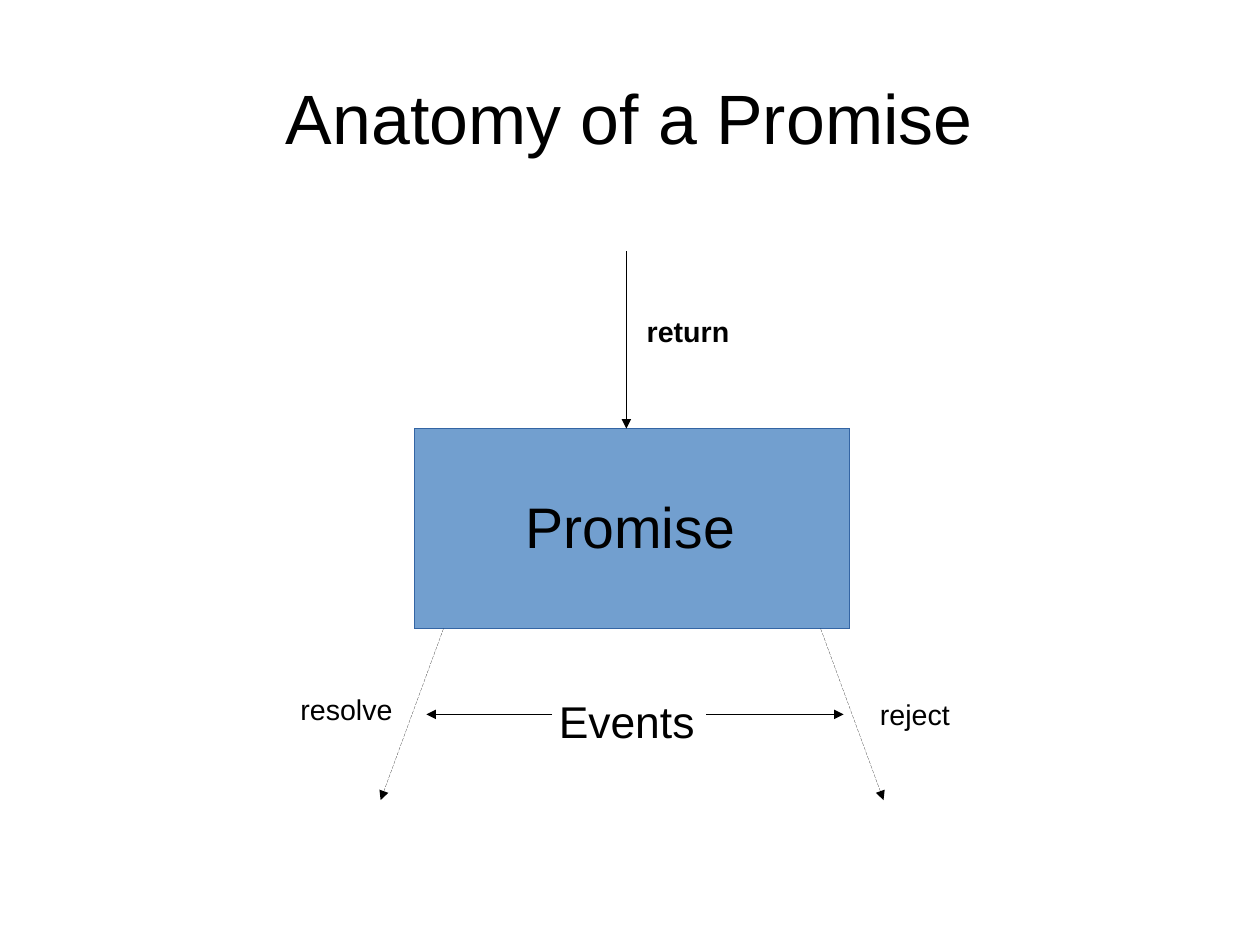
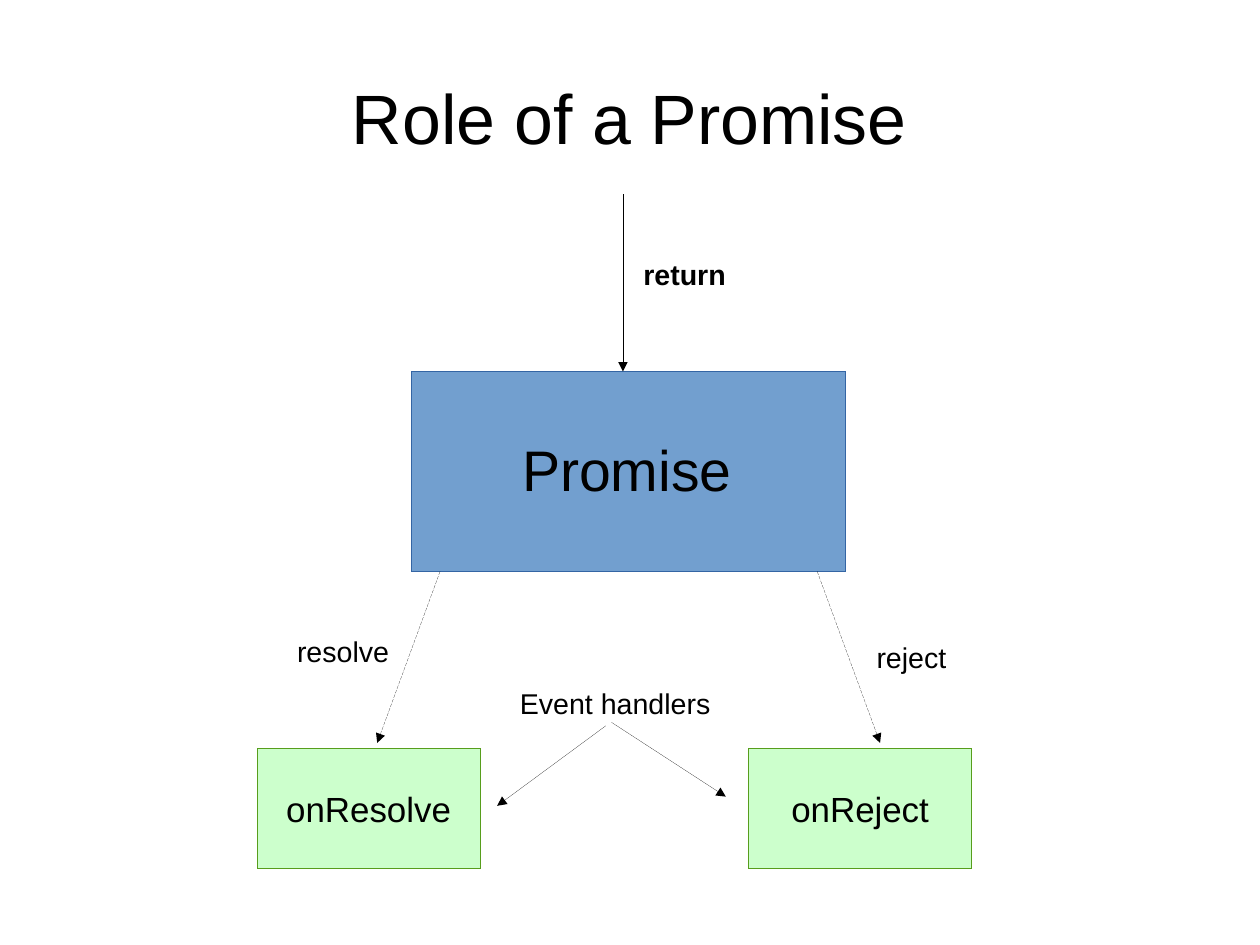
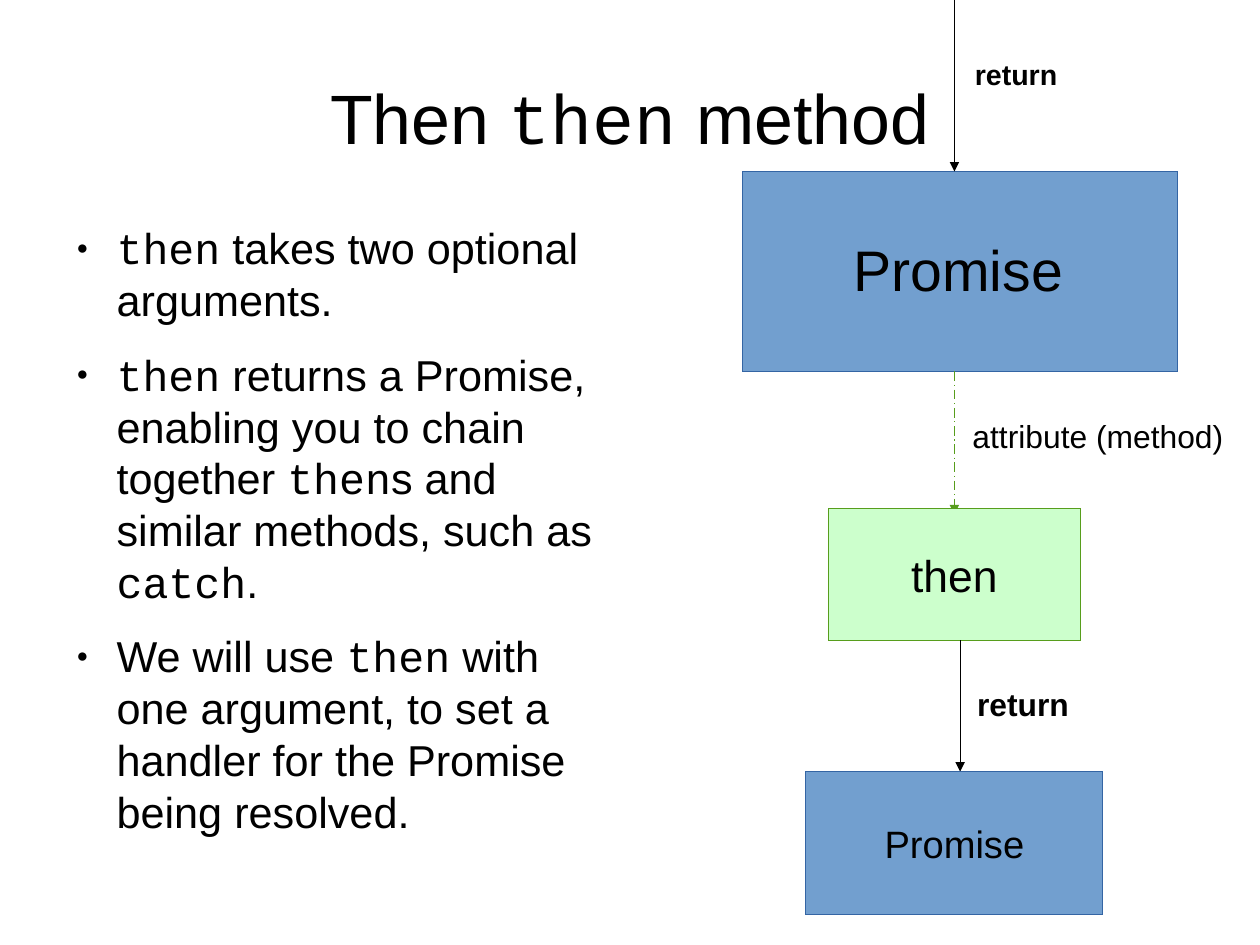
import pptx
import pptx.util
import pptx.dml.color
import pptx.enum.dml
import pptx.enum.shapes
import pptx.enum.text
import pptx.oxml
import pptx.oxml.ns
import lxml.etree

Inches = pptx.util.Inches
Pt = pptx.util.Pt
ALIGN = pptx.enum.text.PP_ALIGN
ANCHOR = pptx.enum.text.MSO_ANCHOR
AUTO_SIZE = pptx.enum.text.MSO_AUTO_SIZE
DASH = pptx.enum.dml.MSO_LINE

SANS, MONO = "Arial", "Courier New"
COLORS = {
    "text": "000000",
    "blue": "729FCF",
    "blue_line": "3465A4",
    "green": "CCFFCC",
    "green_line": "579D1C",
}
TITLE_ONLY, TITLE_AND_BODY = 5, 1
TITLE_BOX = (0.55, 0.33, 9.92, 1.38)


def rgb(name):
    return pptx.dml.color.RGBColor.from_string(COLORS[name])


def add_element(parent, tag, **attributes):
    element = lxml.etree.SubElement(parent, pptx.oxml.ns.qn(tag))
    for key, value in attributes.items():
        element.set(key, str(value))
    return element


def style_paragraph(paragraph, size, bold=False, align=ALIGN.LEFT):
    paragraph.alignment = align
    font = paragraph.font
    font.name, font.size, font.bold = SANS, Pt(size), bold
    font.color.rgb = rgb("text")


def add_runs(paragraph, text):
    """Fill a paragraph; parts between backticks are set in the code font."""
    for index, part in enumerate(text.split("`")):
        if part:
            run = paragraph.add_run()
            run.text = part
            run.font.name = MONO if index % 2 else SANS


def set_hairline(shape, color):
    """Draw the outline at width zero, which must be written out in the XML."""
    shape.line.color.rgb = rgb(color)
    outline = shape._element.spPr.find(pptx.oxml.ns.qn("a:ln"))
    outline.set("w", "0")
    return outline


def prepare_placeholder(placeholder, box, anchor):
    left, top, width, height = [Inches(value) for value in box]
    placeholder.left, placeholder.top = left, top
    placeholder.width, placeholder.height = width, height
    frame = placeholder.text_frame
    frame.margin_left = frame.margin_right = 0
    frame.margin_top = frame.margin_bottom = 0
    frame.vertical_anchor = anchor
    frame.auto_size = AUTO_SIZE.NONE
    return frame


def add_titled_slide(presentation, layout, title):
    slide = presentation.slides.add_slide(presentation.slide_layouts[layout])
    frame = prepare_placeholder(slide.shapes.title, TITLE_BOX, ANCHOR.MIDDLE)
    paragraph = frame.paragraphs[0]
    style_paragraph(paragraph, 44, align=ALIGN.CENTER)
    add_runs(paragraph, title)
    return slide


def add_arrow(slide, start, end, color="text", dash=None):
    points = [Inches(value) for value in (*start, *end)]
    arrow = slide.shapes.add_connector(
        pptx.enum.shapes.MSO_CONNECTOR.STRAIGHT, *points)
    outline = set_hairline(arrow, color)
    if dash:
        arrow.line.dash_style = dash
    add_element(outline, "a:tailEnd", type="triangle")
    add_element(arrow._element.spPr, "a:effectLst")


def add_label(slide, text, box, size=18, bold=False, wrap=False):
    label = slide.shapes.add_textbox(*[Inches(value) for value in box])
    frame = label.text_frame
    frame.word_wrap = wrap
    frame.auto_size = AUTO_SIZE.SHAPE_TO_FIT_TEXT
    frame.text = text
    style_paragraph(frame.paragraphs[0], size, bold)


def add_node(slide, text, box, size, color):
    node = slide.shapes.add_shape(
        pptx.enum.shapes.MSO_SHAPE.RECTANGLE, *[Inches(value) for value in box])
    node.shadow.inherit = False
    node.fill.solid()
    node.fill.fore_color.rgb = rgb(color)
    set_hairline(node, color + "_line")
    frame = node.text_frame
    frame.word_wrap = False
    frame.vertical_anchor = ANCHOR.MIDDLE
    frame.text = text
    style_paragraph(frame.paragraphs[0], size, align=ALIGN.CENTER)
    return node


def add_returned_promise(slide, left, top):
    """Large Promise box with the return arrow that leads into it."""
    node = add_node(slide, "Promise", (left, top, 3.8, 1.75), 36, "blue")
    node.text_frame.margin_right = Inches(0.13)
    node.text_frame.margin_bottom = Inches(0.1)
    add_arrow(slide, (left + 1.85, top - 1.55), (left + 1.85, top))
    add_label(slide, "return", (left + 1.93, top - 1.05, 0.92, 0.43), bold=True)


def add_promise_outcomes(slide, left, top):
    """Returned Promise with its resolve and reject arrows."""
    add_returned_promise(slide, left, top)
    for start, end in ((0.25, -0.3), (3.55, 4.1)):
        add_arrow(slide, (left + start, top + 1.75), (left + end, top + 3.25),
                  dash=DASH.SQUARE_DOT)
    add_label(slide, "resolve", (left - 1.1, top + 2.25, 1.05, 0.38))
    add_label(slide, "reject", (left + 3.97, top + 2.3, 0.81, 0.43))


def add_then_chain(slide, left, top):
    """Promise, its then method and the Promise that then returns."""
    add_returned_promise(slide, left, top)
    add_arrow(slide, (left + 1.85, top + 1.75), (left + 1.85, top + 3),
              "green_line", DASH.LONG_DASH_DOT)
    add_node(slide, "then", (left + 0.75, top + 2.95, 2.2, 1.15), 28, "green")
    add_arrow(slide, (left + 1.9, top + 4.1), (left + 1.9, top + 5.25))
    add_node(slide, "Promise", (left + 0.55, top + 5.25, 2.6, 1.25), 24, "blue")
    add_label(slide, "attribute (method)",
              (left + 1.91, top + 2.1, 2.45, 0.41), 20)
    add_label(slide, "return", (left + 1.95, top + 4.44, 1.05, 0.41), 20, True)


def fill_bullets(placeholder, box, items):
    frame = prepare_placeholder(placeholder, box, ANCHOR.TOP)
    for index, item in enumerate(items):
        paragraph = frame.add_paragraph() if index else frame.paragraphs[0]
        paragraph.space_before, paragraph.space_after = Pt(0), Pt(14.2)
        properties = paragraph._p.get_or_add_pPr()
        properties.set("marL", str(Inches(0.47)))
        properties.set("indent", str(Inches(-0.35)))
        bullet_color = add_element(properties, "a:buClr")
        add_element(bullet_color, "a:srgbClr", val=COLORS["text"])
        add_element(properties, "a:buSzPct", val=45000)
        add_element(properties, "a:buChar", char="●")
        style_paragraph(paragraph, 27.2)
        add_runs(paragraph, item)


def build_anatomy(presentation):
    slide = add_titled_slide(presentation, TITLE_ONLY, "Anatomy of a Promise")
    add_promise_outcomes(slide, 3.63, 3.75)
    add_label(slide, "Events", (4.79, 6.02, 1.39, 0.53), 28)
    for start, end in ((4.83, 3.73), (6.18, 7.38)):
        add_arrow(slide, (start, 6.25), (end, 6.25))


def build_role(presentation):
    slide = add_titled_slide(presentation, TITLE_ONLY, "Role of a Promise")
    add_promise_outcomes(slide, 3.6, 3.25)
    for text, left in (("onResolve", 2.25), ("onReject", 6.55)):
        add_node(slide, text, (left, 6.55, 1.95, 1.05), 22, "green")
    add_label(slide, "Event handlers", (4.45, 5.95, 2, 0.45), wrap=True)
    add_arrow(slide, (5.3, 6.35), (4.35, 7.05))
    add_arrow(slide, (5.35, 6.32), (6.35, 6.97))


def build_then_method(presentation):
    slide = add_titled_slide(presentation, TITLE_AND_BODY, "Then `then` method")
    fill_bullets(slide.placeholders[1], (0.55, 1.94, 4.84, 4.79), [
        "`then` takes two optional arguments.",
        "`then` returns a Promise, enabling you to chain together `then`s "
        "and similar methods, such as `catch`.",
        "We will use `then` with one argument, to set a handler for the "
        "Promise being resolved.",
    ])
    add_then_chain(slide, 6.5, 1.5)


def main():
    presentation = pptx.Presentation()
    presentation.slide_width = pptx.util.Cm(28)
    presentation.slide_height = pptx.util.Cm(21)
    build_anatomy(presentation)
    build_role(presentation)
    build_then_method(presentation)
    presentation.save("out.pptx")


if __name__ == "__main__":
    main()
